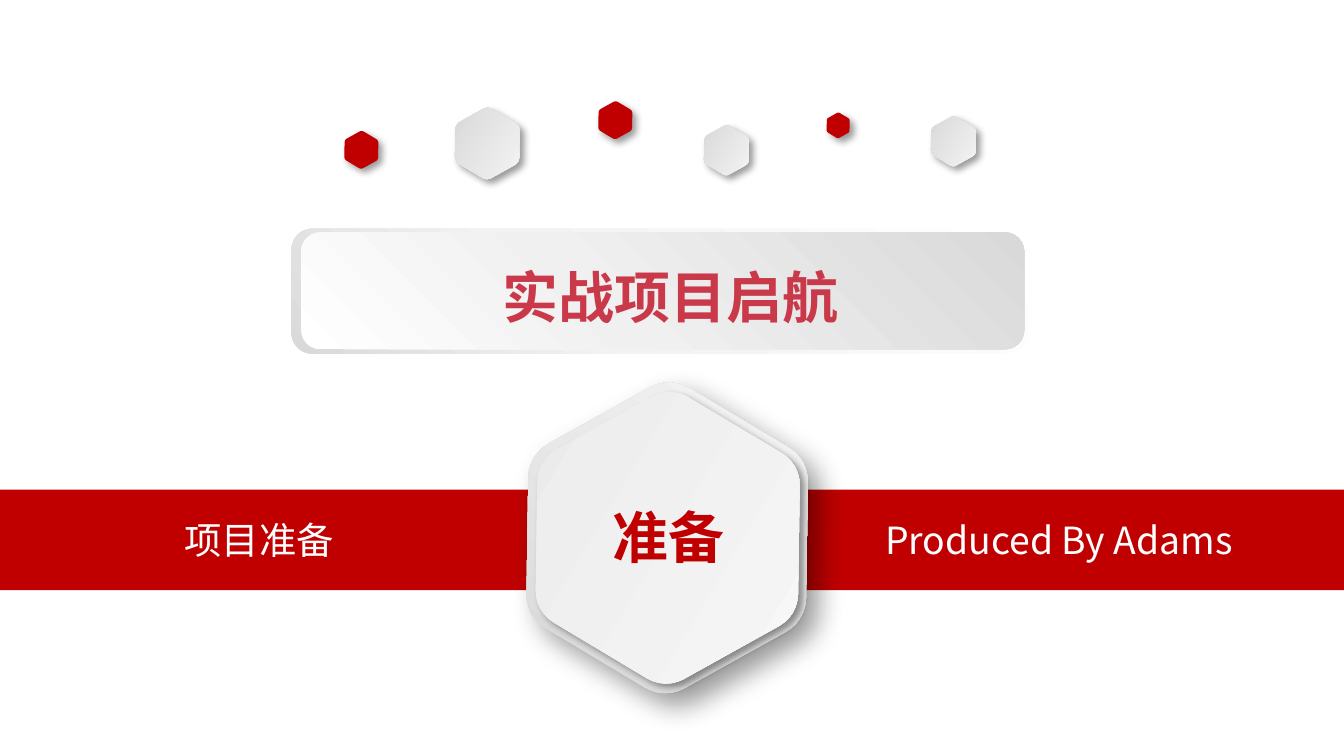
from dataclasses import dataclass
from math import cos, radians, sin

from lxml import etree
from pptx import Presentation
from pptx.dml.color import RGBColor
from pptx.enum.shapes import MSO_SHAPE
from pptx.enum.text import MSO_ANCHOR, MSO_AUTO_SIZE, PP_ALIGN
from pptx.oxml.ns import qn
from pptx.util import Cm, Pt

RECTANGLE, ROUNDED = MSO_SHAPE.RECTANGLE, MSO_SHAPE.ROUNDED_RECTANGLE
LEFT, CENTER = PP_ALIGN.LEFT, PP_ALIGN.CENTER
MIDDLE = MSO_ANCHOR.MIDDLE
NO_AUTOSIZE = MSO_AUTO_SIZE.NONE

FONT = "Noto Sans CJK SC"
RED, WHITE, TITLE_RED = "C00000", "FFFFFF", "C9394A"
TILT = 30.9  # degrees, turns a flat-topped hexagon onto its point


@dataclass
class Box:
    left: float
    top: float
    width: float
    height: float

    def lengths(self) -> tuple:
        return Cm(self.left), Cm(self.top), Cm(self.width), Cm(self.height)


@dataclass
class Gradient:
    stops: tuple  # (percent, colour) pairs
    angle: int  # degrees, clockwise


@dataclass
class Shadow:
    blur: float
    distance: float


@dataclass
class Hexagon:
    center_x: float
    center_y: float
    width: float
    fill: str | Gradient
    shadow: Shadow


@dataclass
class Label:
    text: str
    size: int
    color: str
    bold: bool = False
    align: PP_ALIGN = CENTER


SILVER = Gradient(((0, "D3D3D3"), (100, "F9F9F9")), 0)
SILVER_UP = Gradient(SILVER.stops, 270)
PALE = Gradient(((0, "E9E9E9"), (100, "F9F9F9")), 0)
SMALL_SHADOW, LARGE_SHADOW = Shadow(4, 3), Shadow(15, 9)

SMALL_HEXAGONS = [
    Hexagon(9.21, 2.71, 1.35, SILVER, SMALL_SHADOW),
    Hexagon(11.63, 2.27, 0.71, RED, SMALL_SHADOW),
    Hexagon(6.83, 2.83, 0.71, RED, SMALL_SHADOW),
    Hexagon(13.73, 2.84, 0.94, SILVER, SMALL_SHADOW),
    Hexagon(15.84, 2.37, 0.48, RED, SMALL_SHADOW),
    Hexagon(18.02, 2.67, 0.94, SILVER, SMALL_SHADOW),
]
BADGE = [
    Hexagon(12.61, 10.16, 5.87, SILVER_UP, LARGE_SHADOW),
    Hexagon(12.62, 10.16, 5.51, PALE, SMALL_SHADOW),
]
TITLE_BARS = [
    (Box(5.51, 4.32, 13.92, 2.36),
     Gradient(((0, WHITE), (62, "F2F2F2"), (100, "D9D9D9")), 135)),
    (Box(5.69, 4.39, 13.67, 2.21),
     Gradient(((0, WHITE), (42, "F0F0F0"), (100, "D9D9D9")), 315)),
]
BAND_LABELS = [
    (Box(0.43, 9.63, 8.94, 1.12), Label("项目准备", 20, WHITE)),
    (Box(16.48, 9.63, 8.89, 1.12), Label("Produced By Adams", 20, WHITE, align=LEFT)),
]


def rgb(value: str) -> RGBColor:
    return RGBColor.from_string(value)


def add_color(parent, value: str):
    return etree.SubElement(parent, qn("a:srgbClr"), val=value)


def add_shadow(effects, shadow: Shadow) -> None:
    outer = etree.SubElement(
        effects, qn("a:outerShdw"), blurRad=str(Pt(shadow.blur)),
        dist=str(Pt(shadow.distance)), dir="2700000", algn="tl", rotWithShape="0")
    etree.SubElement(add_color(outer, "000000"), qn("a:alpha"), val="40000")


def paint(shape, fill: str | Gradient | None, shadow: Shadow | None = None) -> None:
    if fill is None:
        shape.fill.background()
    elif isinstance(fill, Gradient):
        shape.fill.gradient()
        shape.fill.gradient_angle = (360 - fill.angle) % 360
        stop_list = shape.element.spPr.find(".//" + qn("a:gsLst"))
        for stop in list(stop_list):
            stop_list.remove(stop)
        for percent, value in fill.stops:
            add_color(etree.SubElement(stop_list, qn("a:gs"), pos=str(percent * 1000)), value)
    else:
        shape.fill.solid()
        shape.fill.fore_color.rgb = rgb(fill)
    shape.line.fill.background()
    shape.shadow.inherit = False
    if shadow:
        add_shadow(shape.element.spPr.find(qn("a:effectLst")), shadow)


def add_box(slide, kind, box: Box, fill: str | Gradient | None):
    shape = slide.shapes.add_shape(kind, *box.lengths())
    paint(shape, fill)
    return shape


def add_hexagon(slide, hexagon: Hexagon) -> None:
    # Corner arcs sit on a smaller hexagon; the proportions make height 0.9 of width
    inner, radius = 0.373 * hexagon.width, 0.127 * hexagon.width
    points = []
    for corner in range(0, 360, 60):
        for turn in range(-30, 31, 10):
            direction, base = radians(corner + turn), radians(corner)
            points.append((
                Cm(hexagon.center_x + inner * cos(base) + radius * cos(direction)),
                Cm(hexagon.center_y + inner * sin(base) + radius * sin(direction))))
    builder = slide.shapes.build_freeform(*points[0])
    builder.add_line_segments(points[1:], close=True)
    shape = builder.convert_to_shape()
    shape.rotation = TILT
    paint(shape, hexagon.fill, hexagon.shadow)


def write(shape, label: Label) -> None:
    frame = shape.text_frame
    frame.text = label.text
    frame.word_wrap = True
    frame.auto_size = NO_AUTOSIZE
    frame.vertical_anchor = MIDDLE
    paragraph = frame.paragraphs[0]
    paragraph.alignment = label.align
    font = paragraph.runs[0].font
    font.size, font.bold, font.name = Pt(label.size), label.bold, FONT
    font.color.rgb = rgb(label.color)
    latin = paragraph.runs[0].font._element.find(qn("a:latin"))
    latin.addnext(latin.makeelement(qn("a:ea"), {"typeface": FONT}))


def main() -> None:
    presentation = Presentation()
    presentation.slide_width, presentation.slide_height = Cm(25.4), Cm(14.28)
    slide = presentation.slides.add_slide(presentation.slide_layouts[5])

    # Red band with its two labels
    add_box(slide, RECTANGLE, Box(0, 9.25, 25.4, 1.9), RED)
    for box, label in BAND_LABELS:
        write(slide.shapes.add_textbox(*box.lengths()), label)

    # Hexagons
    for hexagon in SMALL_HEXAGONS + BADGE:
        add_hexagon(slide, hexagon)

    # Title on its layered bars
    for box, fill in TITLE_BARS:
        add_box(slide, ROUNDED, box, fill)
    title = slide.shapes.title
    title.left, title.top, title.width, title.height = Box(5.72, 4.83, 13.92, 1.52).lengths()
    write(title, Label("实战项目启航", 30, TITLE_RED, bold=True))
    title.element.getparent().append(title.element)  # bring to front

    # Badge caption with a text shadow
    caption = add_box(slide, ROUNDED, Box(10.13, 9.5, 5, 1.27), None)
    write(caption, Label("准备", 30, RED, bold=True))
    text_fill = caption.text_frame.paragraphs[0].runs[0].font._element.find(qn("a:solidFill"))
    effects = text_fill.makeelement(qn("a:effectLst"), {})
    text_fill.addnext(effects)
    add_shadow(effects, SMALL_SHADOW)

    presentation.save("out.pptx")


if __name__ == "__main__":
    main()
